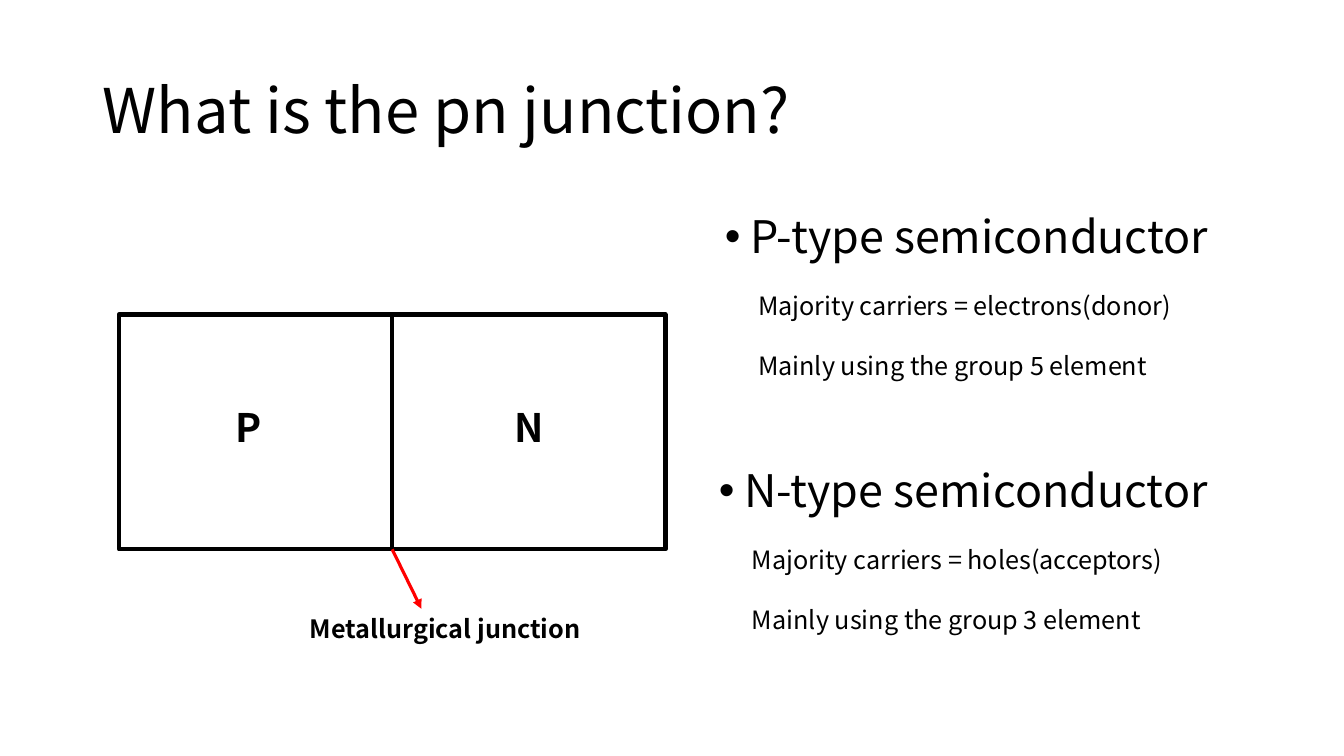
from lxml import etree
from pptx import Presentation
from pptx import util as u
from pptx.dml.color import RGBColor
from pptx.enum import shapes, text
from pptx.oxml.ns import qn

PX = 9144
COLORS = {"ink": "000000", "arrow": "FF0000"}
FONT = "Noto Sans CJK KR"


def rgb(name):
    return RGBColor.from_string(COLORS[name])


def write(paragraph, content, size=18, bold=False, align=text.PP_ALIGN.LEFT, spacing=1.0, before=0):
    paragraph.alignment = align
    paragraph.line_spacing = spacing
    paragraph.space_before = u.Pt(before)
    run = paragraph.add_run()
    run.text = content
    run.font.name = FONT
    run.font.size = u.Pt(size)
    run.font.bold = bold
    run.font.color.rgb = rgb("ink")


class JunctionSlide:
    def __init__(self, deck):
        self.slide = deck.slides.add_slide(deck.slide_layouts[3])
        self.diagram = None

    def start_diagram(self):
        self.diagram = self.slide.shapes.add_group_shape()

    def place(self, index, left, top, width, height):
        holder = self.slide.placeholders[index]
        holder.left, holder.top, holder.width, holder.height = (
            v * PX for v in (left, top, width, height))
        holder.text_frame.auto_size = text.MSO_AUTO_SIZE.NONE
        return holder.text_frame

    def title(self, content, *box):
        frame = self.place(0, *box)
        frame.vertical_anchor = text.MSO_ANCHOR.MIDDLE
        write(frame.paragraphs[0], content, size=44, spacing=0.9)

    def bullet(self, index, content, *box):
        heading = self.place(index, *box).paragraphs[0]
        write(heading, content, size=32, spacing=0.9, before=10)
        props = heading._p.get_or_add_pPr()
        props.set("marL", str(25 * PX))
        props.set("indent", str(-25 * PX))
        etree.SubElement(props, qn("a:buFont"), typeface="Arial")
        etree.SubElement(props, qn("a:buChar"), char="•")

    def note(self, lines, left, top, width, height, gap=0, **style):
        parent = self.diagram or self.slide
        box = parent.shapes.add_textbox(*(v * PX for v in (left, top, width, height)))
        frame = box.text_frame
        frame.word_wrap = True
        for i, line in enumerate(lines):
            paragraph = frame.add_paragraph() if i else frame.paragraphs[0]
            write(paragraph, line, before=gap if i else 0, **style)

    def outline(self, left, top, width, height):
        block = self.diagram.shapes.add_shape(
            shapes.MSO_SHAPE.RECTANGLE, *(v * PX for v in (left, top, width, height)))
        block.shadow.inherit = False
        block.fill.background()
        block.line.color.rgb = rgb("ink")
        block.line.width = u.Pt(3)

    def line(self, x1, y1, x2, y2, color="ink", width=3, arrow=False):
        stroke = self.diagram.shapes.add_connector(
            shapes.MSO_CONNECTOR.STRAIGHT, *(v * PX for v in (x1, y1, x2, y2)))
        stroke.line.color.rgb = rgb(color)
        stroke.line.width = u.Pt(width)
        if arrow:
            etree.SubElement(stroke.line._get_or_add_ln(), qn("a:tailEnd"), type="triangle")
        etree.SubElement(stroke._element.spPr, qn("a:effectLst"))


def main():
    deck = Presentation()
    deck.slide_width, deck.slide_height = u.Inches(13.33), u.Inches(7.5)
    page = JunctionSlide(deck)
    page.title("What is the pn junction?", 92, 40, 1150, 145)

    semiconductors = [
        ("P", "electrons(donor)", 5, 709, 208),
        ("N", "holes(acceptors)", 3, 703, 460),
    ]
    for index, (kind, carriers, group, left, top) in enumerate(semiconductors, 1):
        page.bullet(index, f"{kind}-type semiconductor", left, top, 518, 264)
        page.note([f"Majority carriers = {carriers}", f"Mainly using the group {group} element"],
                  left + 33, top + 75, 442, 162, gap=21.6)

    page.start_diagram()
    left, top, width, height = 118, 312, 542, 233
    junction, bottom = left + width // 2, top + height
    page.outline(left, top, width, height)
    page.line(junction, top, junction, bottom)
    for kind, x in (("P", 224), ("N", 500)):
        page.note([kind], x, 395, 49, 57, size=28, bold=True)
    page.line(junction, bottom, 418, 604, color="arrow", width=2.25, arrow=True)
    page.note(["Metallurgical junction"], 248, 604, 387, 40, bold=True, align=text.PP_ALIGN.CENTER)

    deck.save("out.pptx")


if __name__ == "__main__":
    main()
